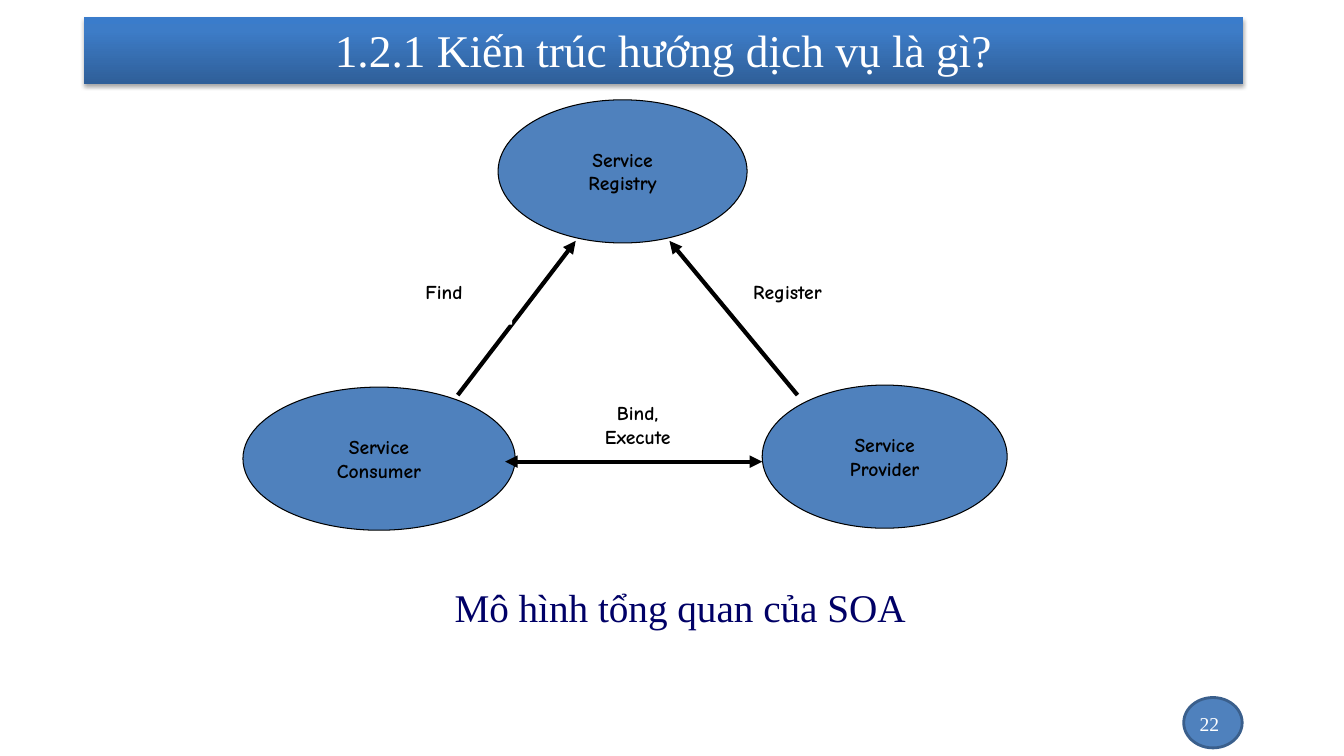
from dataclasses import dataclass

from lxml.etree import SubElement
from pptx import Presentation
from pptx.dml.color import RGBColor
from pptx.enum.shapes import MSO_CONNECTOR, MSO_SHAPE
from pptx.enum.text import MSO_ANCHOR, PP_ALIGN
from pptx.oxml.ns import qn
from pptx.shapes.autoshape import Shape
from pptx.slide import Slide
from pptx.util import Inches, Pt


@dataclass(frozen=True)
class Theme:
    blue: str = "4F81BD"
    badge_line: str = "3A5F8C"
    banner_stops: tuple[tuple[int, str], ...] = (
        (0, "2F5F99"), (80, "3D7CC7"), (100, "3A7CCB"))
    white: str = "FFFFFF"
    black: str = "000000"
    navy: str = "000066"
    serif: str = "Times New Roman"
    comic: str = "Comic Neue"
    title_size: float = 32.4
    caption_size: float = 28
    label_size: float = 14


@dataclass(frozen=True)
class Box:
    left: float
    top: float
    width: float
    height: float

    def lengths(self) -> tuple[int, ...]:
        return tuple(Inches(value) for value in
                     (self.left, self.top, self.width, self.height))


@dataclass(frozen=True)
class Label:
    lines: tuple[str, ...]
    box: Box
    align: PP_ALIGN = PP_ALIGN.LEFT


@dataclass(frozen=True)
class Arrow:
    start: tuple[float, float]
    end: tuple[float, float]
    both_ways: bool = False


THEME = Theme()

SERVICES = (
    Label(("Service", "Registry"), Box(4.94, 0.99, 2.47, 1.42), PP_ALIGN.CENTER),
    Label(("Service", "Provider"), Box(7.56, 3.82, 2.43, 1.42), PP_ALIGN.CENTER),
    Label(("Service", "Consumer"), Box(2.41, 3.84, 2.7, 1.42), PP_ALIGN.CENTER),
)
BIND_LABEL = Label(("Bind,", "Execute"), Box(5.66, 3.98, 1.33, 0.86), PP_ALIGN.CENTER)
SIDE_LABELS = (
    Label(("Find",), Box(4.22, 2.78, 0.86, 0.44)),
    Label(("Register",), Box(7.47, 2.78, 1.39, 0.44)),
)
ARROWS = (
    Arrow((4.54, 3.92), (5.71, 2.39)),
    Arrow((7.91, 3.92), (6.64, 2.39)),
    Arrow((5.01, 4.58), (7.56, 4.58), both_ways=True),
)


def color(value: str) -> RGBColor:
    return RGBColor.from_string(value)


def write(shape: Shape, lines: tuple[str, ...], font_name: str, size: float,
          font_color: str, align: PP_ALIGN, bold: bool = False) -> None:
    frame = shape.text_frame
    frame.text = "\n".join(lines)
    for paragraph in frame.paragraphs:
        paragraph.alignment = align
        font = paragraph.font
        font.name, font.size, font.bold = font_name, Pt(size), bold
        font.color.rgb = color(font_color)


def add_filled(slide: Slide, kind: MSO_SHAPE, box: Box, fill: str,
               line: str | None = None, line_width: float = 0.75) -> Shape:
    shape = slide.shapes.add_shape(kind, *box.lengths())
    shape.shadow.inherit = False
    shape.fill.solid()
    shape.fill.fore_color.rgb = color(fill)
    if line:
        shape.line.color.rgb = color(line)
        shape.line.width = Pt(line_width)
    else:
        shape.line.fill.background()
    return shape


def add_text(slide: Slide, text: str, box: Box, size: float,
             font_color: str, align: PP_ALIGN) -> Shape:
    shape = slide.shapes.add_textbox(*box.lengths())
    shape.text_frame.word_wrap = True
    shape.text_frame.vertical_anchor = MSO_ANCHOR.MIDDLE
    write(shape, (text,), THEME.serif, size, font_color, align)
    return shape


def add_banner(slide: Slide, box: Box) -> None:
    banner = add_filled(slide, MSO_SHAPE.RECTANGLE, box, THEME.blue)
    banner.fill.gradient()
    properties = banner.element.spPr
    # Vertical gradient, dark at the bottom
    stops = properties.find(".//" + qn("a:gsLst"))
    for stop in list(stops):
        stops.remove(stop)
    for position, value in THEME.banner_stops:
        stop = SubElement(stops, qn("a:gs"), pos=str(position * 1000))
        SubElement(stop, qn("a:srgbClr"), val=value)
    properties.find(".//" + qn("a:lin")).set("ang", str(270 * 60000))
    # Soft shadow below
    shadow = SubElement(properties.find(qn("a:effectLst")), qn("a:outerShdw"),
                        blurRad=str(Pt(3.1)), dist=str(Pt(1.8)),
                        dir=str(90 * 60000), rotWithShape="0")
    shade = SubElement(shadow, qn("a:srgbClr"), val=THEME.black)
    SubElement(shade, qn("a:alpha"), val="35000")


def add_service(slide: Slide, service: Label) -> None:
    shape = add_filled(slide, MSO_SHAPE.OVAL, service.box, THEME.blue, THEME.black)
    shape.text_frame.word_wrap = False
    shape.text_frame.vertical_anchor = MSO_ANCHOR.MIDDLE
    write(shape, service.lines, THEME.comic, THEME.label_size, THEME.black,
          service.align, bold=True)


def add_label(slide: Slide, label: Label) -> None:
    shape = add_filled(slide, MSO_SHAPE.RECTANGLE, label.box, THEME.white)
    frame = shape.text_frame
    frame.word_wrap = True
    frame.vertical_anchor = MSO_ANCHOR.TOP
    frame.margin_left = frame.margin_right = 0
    frame.margin_top = frame.margin_bottom = 0
    write(shape, label.lines, THEME.comic, THEME.label_size, THEME.black,
          label.align, bold=True)


def add_arrow(slide: Slide, arrow: Arrow) -> None:
    points = (Inches(value) for value in arrow.start + arrow.end)
    connector = slide.shapes.add_connector(MSO_CONNECTOR.STRAIGHT, *points)
    connector.line.color.rgb = color(THEME.black)
    connector.line.width = Pt(3)
    line = connector.line._get_or_add_ln()
    for end in ("a:headEnd", "a:tailEnd") if arrow.both_ways else ("a:tailEnd",):
        SubElement(line, qn(end), type="triangle")
    SubElement(connector.element.spPr, qn("a:effectLst"))


def main() -> None:
    presentation = Presentation()
    presentation.slide_width = Inches(13.33)
    presentation.slide_height = Inches(7.5)
    slide = presentation.slides.add_slide(presentation.slide_layouts[6])

    # Page number badge
    add_filled(slide, MSO_SHAPE.OVAL, Box(11.74, 6.92, 0.58, 0.5),
               THEME.blue, THEME.badge_line, 2)
    add_text(slide, "22", Box(9.08, 6.98, 3.11, 0.4), THEME.label_size,
             THEME.white, PP_ALIGN.RIGHT)

    # Title banner
    add_banner(slide, Box(0.83, 0.17, 11.5, 0.66))
    add_text(slide, "1.2.1 Kiến trúc hướng dịch vụ là gì?",
             Box(0.83, 0.15, 11.5, 0.68), THEME.title_size,
             THEME.white, PP_ALIGN.CENTER)

    # Caption
    caption = add_text(slide, "Mô hình tổng quan của SOA", Box(4.41, 5.5, 8, 1),
                       THEME.caption_size, THEME.navy, PP_ALIGN.JUSTIFY)
    caption.text_frame.vertical_anchor = MSO_ANCHOR.TOP
    paragraph = caption.text_frame.paragraphs[0]
    paragraph.line_spacing = 1.5
    paragraph.space_before = paragraph.space_after = Pt(6)

    # Service triangle; the side labels lie over the arrows
    add_label(slide, BIND_LABEL)
    for service in SERVICES:
        add_service(slide, service)
    for arrow in ARROWS:
        add_arrow(slide, arrow)
    for label in SIDE_LABELS:
        add_label(slide, label)

    presentation.save("out.pptx")


if __name__ == "__main__":
    main()
